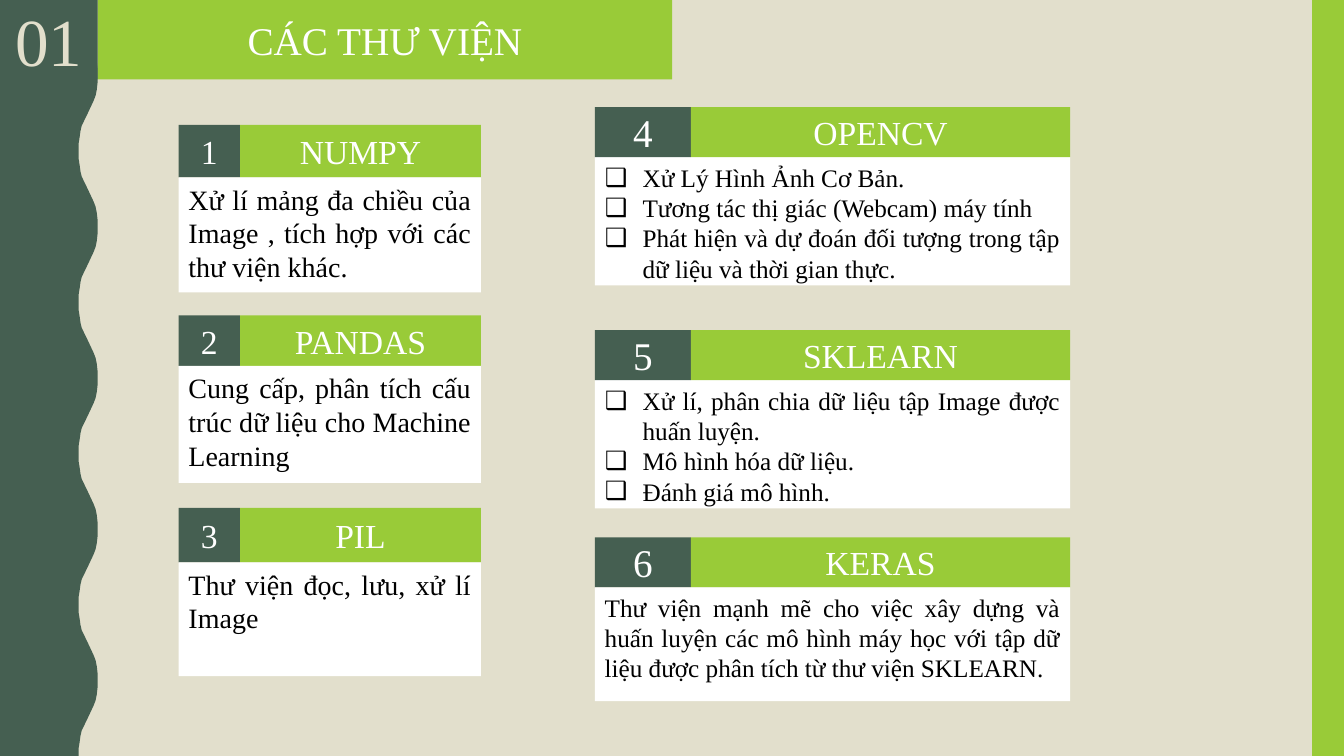
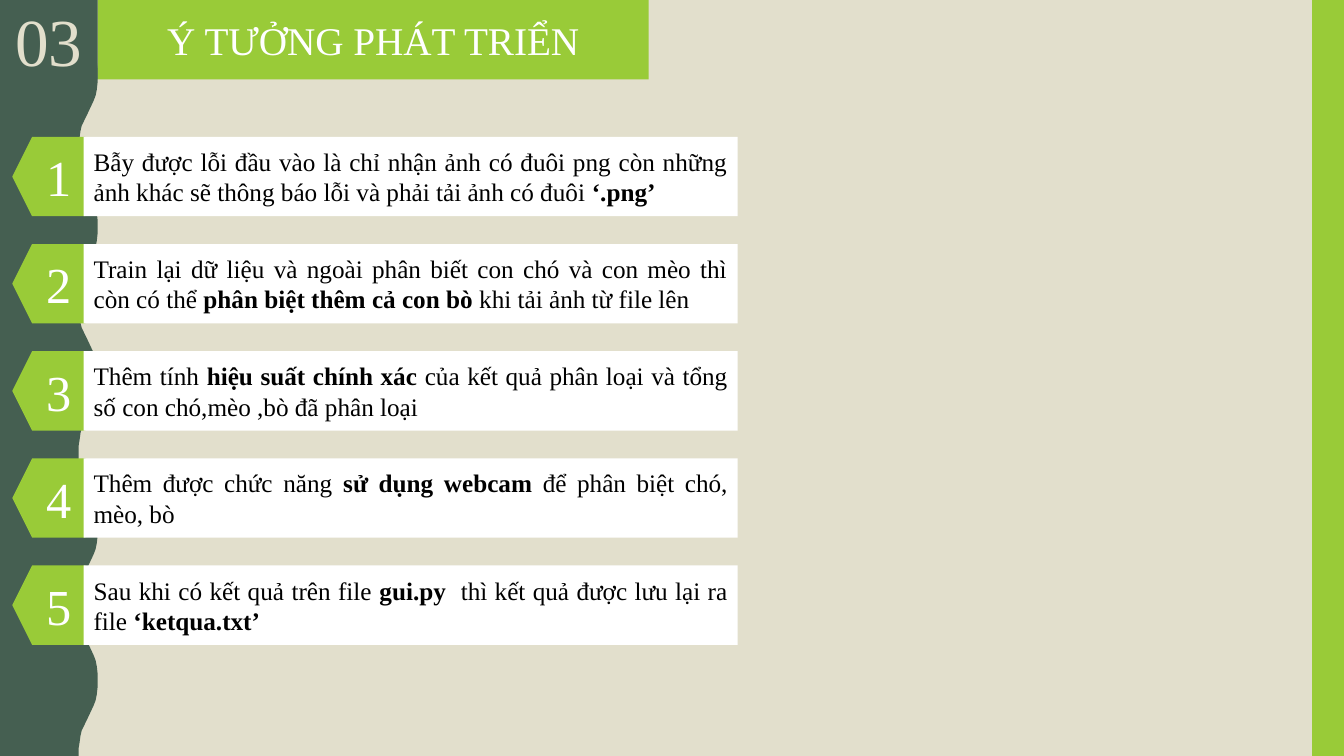
from pptx import Presentation
from pptx.dml.color import RGBColor
from pptx.enum.shapes import MSO_SHAPE
from pptx.enum.text import MSO_ANCHOR, MSO_AUTO_SIZE, PP_ALIGN
from pptx.oxml.ns import qn
from pptx.util import Cm, Pt
from lxml import etree

RECT, HEX = MSO_SHAPE.RECTANGLE, MSO_SHAPE.HEXAGON
TOP, MIDDLE = MSO_ANCHOR.TOP, MSO_ANCHOR.MIDDLE
CENTER, JUSTIFY = PP_ALIGN.CENTER, PP_ALIGN.JUSTIFY
FIXED = MSO_AUTO_SIZE.NONE
FONT = "Times New Roman"
DARK, GREEN, SAND = "455F51", "99CB38", "E2DFCC"
WHITE, BLACK = "FFFFFF", "000000"


def paint(shape, color):
    shape.shadow.inherit = False
    shape.fill.solid()
    shape.fill.fore_color.rgb = RGBColor.from_string(color)
    shape.line.fill.background()


def block(shape, area, fill, lines, size, color=WHITE, align=CENTER, anchor=MIDDLE):
    shape.left, shape.top, shape.width, shape.height = [Cm(v) for v in area]
    paint(shape, fill)
    frame = shape.text_frame
    frame.text = "\n".join(line.replace("*", "") for line in lines)
    frame.word_wrap = True
    frame.auto_size = FIXED
    frame.vertical_anchor = anchor
    for para, line in zip(frame.paragraphs, lines):
        para.alignment = align
        para.space_before = Pt(0)
        parts = line.split("*")
        para.runs[0].text = parts[0]
        for part in parts[1:]:
            if part:
                para.add_run().text = part
        for i, run in enumerate(para.runs):
            run.font.name = FONT
            run.font.size = Pt(size)
            run.font.bold = i % 2 == 1
            run.font.color.rgb = RGBColor.from_string(color)


deck = Presentation()
deck.slide_width, deck.slide_height = Cm(33.87), Cm(19.05)
master = deck.slide_master
master.background.fill.solid()
master.background.fill.fore_color.rgb = RGBColor.from_string(SAND)

slides = []
heads = [("01", "CÁC THƯ VIỆN", 14.48, 3), ("03", "Ý TƯỞNG PHÁT TRIỂN", 13.89, 5)]
for number, title, width, layout in heads:
    slide = deck.slides.add_slide(deck.slide_layouts[layout])
    slides.append(slide)
    block(slide.shapes.title, (2.46, 0, width, 2), GREEN, [title], 28)
    badge = slide.shapes.add_shape(RECT, 0, 0, 0, 0)
    block(badge, (0, 0, 2.46, 2), DARK, [number], 48, SAND)
library, ideas = slides

rise = [(1.98, 0), (1.98, 0.18), (2.01, 0.36), (2.03, 0.51), (2.06, 0.64), (2.21, 0.95),
        (2.36, 1.27), (2.41, 1.4), (2.44, 1.55), (2.46, 1.73), (2.46, 1.91)]
period = 3.81
cycle = rise + [(x, period - y) for x, y in reversed(rise)]
curve = [(Cm(x), Cm(y + n * period)) for n in range(5) for x, y in cycle]
outline = library.shapes.build_freeform(0, 0)
outline.add_line_segments(curve + [(0, Cm(19.05))], close=True)
wave = outline.convert_to_shape()
paint(wave, DARK)
edge = library.shapes.add_shape(RECT, Cm(33.07), 0, Cm(0.8), Cm(19.05))
paint(edge, GREEN)
for mark, shape in enumerate([wave, edge], 20):
    shape.element.nvSpPr.cNvPr.set("id", str(mark))
    master.shapes.element.insert(2, shape.element)

left = (4.5, 1.55, 7.62, 24, 20)
right = (14.99, 2.42, 11.98, 28, 18)
cards = [
    (left, 3.15, 1.32, 2.9, "NUMPY",
     ["Xử lí mảng đa chiều của Image , tích hợp với các thư viện khác."]),
    (left, 7.95, 1.27, 2.95, "PANDAS",
     ["Cung cấp, phân tích cấu trúc dữ liệu cho Machine Learning"]),
    (left, 12.8, 1.37, 2.87, "PIL", ["Thư viện đọc, lưu, xử lí Image"]),
    (right, 2.7, 1.26, 3.23, "OPENCV",
     ["Xử Lý Hình Ảnh Cơ Bản.",
      "Tương tác thị giác (Webcam) máy tính",
      "Phát hiện và dự đoán đối tượng trong tập dữ liệu và thời gian thực."]),
    (right, 8.32, 1.26, 3.23, "SKLEARN",
     ["Xử lí, phân chia dữ liệu tập Image được huấn luyện.",
      "Mô hình hóa dữ liệu.",
      "Đánh giá mô hình."]),
    (right, 13.54, 1.26, 2.87, "KERAS",
     ["Thư viện mạnh mẽ cho việc xây dựng và huấn luyện các mô hình máy học "
      "với tập dữ liệu được phân tích từ thư viện SKLEARN."]),
]
bodies = iter([library.placeholders[1], library.placeholders[2]])
for number, (column, top, head, depth, name, lines) in enumerate(cards, 1):
    x, tab, width, large, small = column
    label = library.shapes.add_shape(RECT, 0, 0, 0, 0)
    block(label, (x, top, tab, head), DARK, [str(number)], large)
    banner = library.shapes.add_shape(RECT, 0, 0, 0, 0)
    block(banner, (x + tab, top, width - tab, head), GREEN, [name], 24)
    listed = len(lines) > 1
    body = next(bodies) if listed else library.shapes.add_shape(RECT, 0, 0, 0, 0)
    area = (x, top + head, width, depth)
    block(body, area, WHITE, lines, small, BLACK, JUSTIFY, TOP)
    if listed:
        for para in body.text_frame.paragraphs:
            props = para._p.get_or_add_pPr()
            props.set("marL", str(Cm(0.95)))
            props.set("indent", str(-Cm(0.95)))
            etree.SubElement(props, qn("a:buChar")).set("char", "❑")

plans = [
    "Bẫy được lỗi đầu vào là chỉ nhận ảnh có đuôi png còn những ảnh khác "
    "sẽ thông báo lỗi và phải tải ảnh có đuôi *‘.png’*",
    "Train lại dữ liệu và ngoài phân biết con chó và con mèo thì còn có thể "
    "*phân biệt thêm cả con bò* khi tải ảnh từ file lên",
    "Thêm tính *hiệu suất chính xác *của kết quả phân loại và tổng số con "
    "chó,mèo ,bò đã phân loại",
    "Thêm được chức năng *sử dụng webcam *để phân biệt chó, mèo, bò",
    "Sau khi có kết quả trên file *gui.py  *thì kết quả được lưu lại ra file "
    "*‘ketqua.txt’*",
]
for i, plan in enumerate(plans):
    top = 3.45 + i * 2.7
    tag = ideas.shapes.add_shape(HEX, 0, 0, Cm(2.34), Cm(2))
    block(tag, (0.31, top, 2.34, 2), GREEN, [str(i + 1)], 36)
    strip = ideas.shapes.add_shape(RECT, 0, 0, 0, 0)
    block(strip, (2.11, top, 16.48, 2), WHITE, [plan], 18, BLACK, JUSTIFY)

deck.save("out.pptx")
